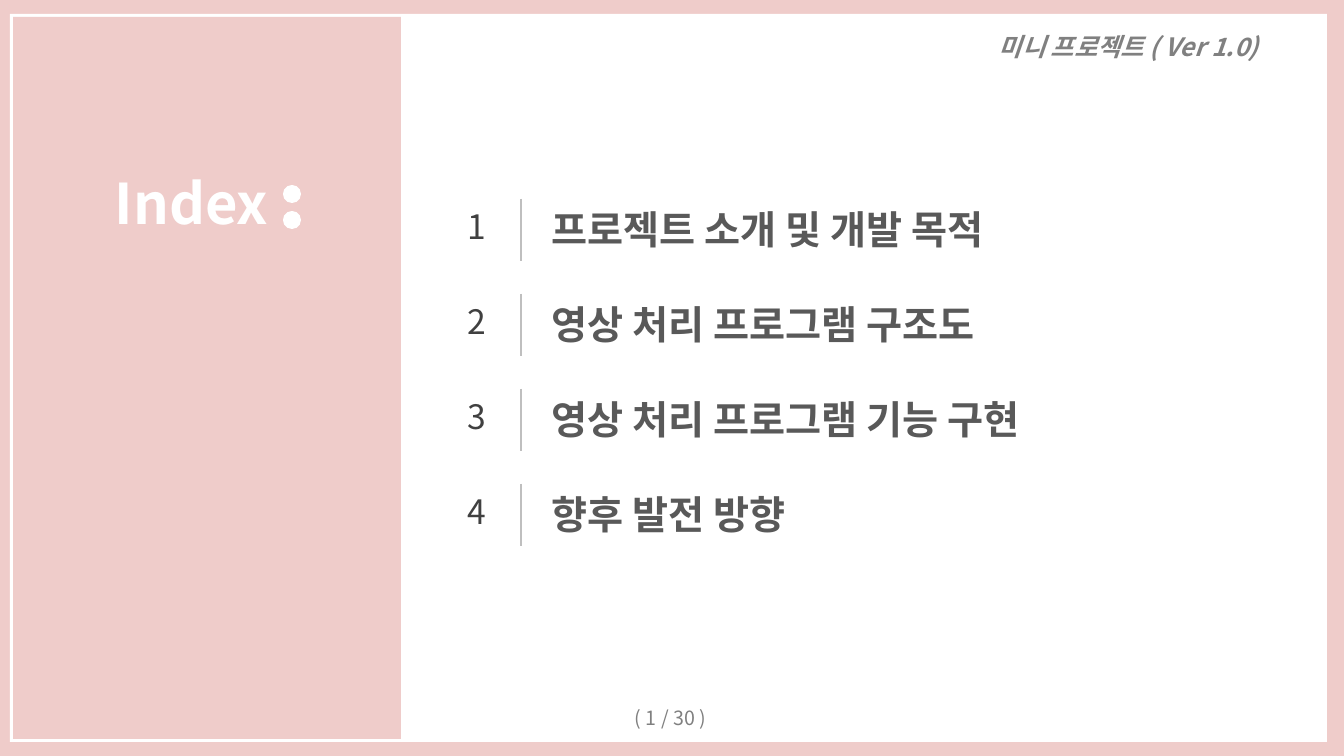
"""Index slide with a pink side panel and four numbered topics."""
from lxml import etree
from pptx import Presentation
from pptx.dml.color import RGBColor
from pptx.enum.shapes import MSO_CONNECTOR, MSO_SHAPE
from pptx.enum.text import MSO_ANCHOR
from pptx.oxml.ns import qn
from pptx.util import Pt

RECT, OVAL = MSO_SHAPE.RECTANGLE, MSO_SHAPE.OVAL
STRAIGHT = MSO_CONNECTOR.STRAIGHT
TOP, BOTTOM = MSO_ANCHOR.TOP, MSO_ANCHOR.BOTTOM
PX = 914400 / 100.8
FONT = "Noto Sans CJK KR"
COLORS = {
    "pink": "EFCCCA", "white": "FFFFFF", "title": "595959",
    "number": "404040", "rule": "BFBFBF", "muted": "808080",
}


def emu(*lengths):
    return [round(n * PX) for n in lengths]


def add_text(text, box, size, color, bold=False, italic=False, spacing=1.0, anchor=TOP):
    tf = s.shapes.add_textbox(*emu(*box)).text_frame
    tf.word_wrap = True
    tf.vertical_anchor = anchor
    p = tf.paragraphs[0]
    p.line_spacing = spacing
    r = p.add_run()
    r.text = text
    r.font.size = Pt(size)
    r.font.name = FONT
    r.font.bold = bold
    r.font.italic = italic
    r.font.color.rgb = RGBColor.from_string(COLORS[color])
    etree.SubElement(r.font._element, qn("a:ea")).set("typeface", FONT)


prs = Presentation()
prs.slide_width, prs.slide_height = emu(1344, 756)
s = prs.slides.add_slide(prs.slide_layouts[6])
s.background.fill.solid()
s.background.fill.fore_color.rgb = RGBColor.from_string(COLORS["pink"])

shapes = [
    (RECT, (10, 14, 1317, 728), "white"),
    (RECT, (13, 17, 388, 722), "pink"),
    (OVAL, (283, 185, 18, 18), "white"),
    (OVAL, (283, 211, 18, 18), "white"),
]
for kind, box, color in shapes:
    sp = s.shapes.add_shape(kind, *emu(*box))
    sp.shadow.inherit = False
    sp.fill.solid()
    sp.fill.fore_color.rgb = RGBColor.from_string(COLORS[color])
    sp.line.fill.background()

add_text("미니 프로젝트 ( Ver 1.0)", (989, 30, 338, 63), 18, "muted",
         bold=True, italic=True, spacing=0.9)
add_text("Index", (105, 179, 260, 63), 40, "white",
         bold=True, spacing=0.9, anchor=BOTTOM)
add_text("( 1 / 30 )", (625, 701, 108, 39), 14, "muted")

topics = [
    "프로젝트 소개 및 개발 목적",
    "영상 처리 프로그램 구조도",
    "영상 처리 프로그램 기능 구현",
    "향후 발전 방향",
]
for i, topic in enumerate(topics):
    y = 199 + 95 * i
    add_text(str(i + 1), (458, y + 2, 58, 60), 24, "number")
    rule = s.shapes.add_connector(STRAIGHT, *emu(521, y, 521, y + 62))
    rule.line.width = Pt(1.75)
    rule.line.color.rgb = RGBColor.from_string(COLORS["rule"])
    etree.SubElement(rule._element.spPr, qn("a:effectLst"))
    add_text(topic, (542, y + 7, 661, 63), 28, "title", bold=True, spacing=0.9)

prs.save("out.pptx")
